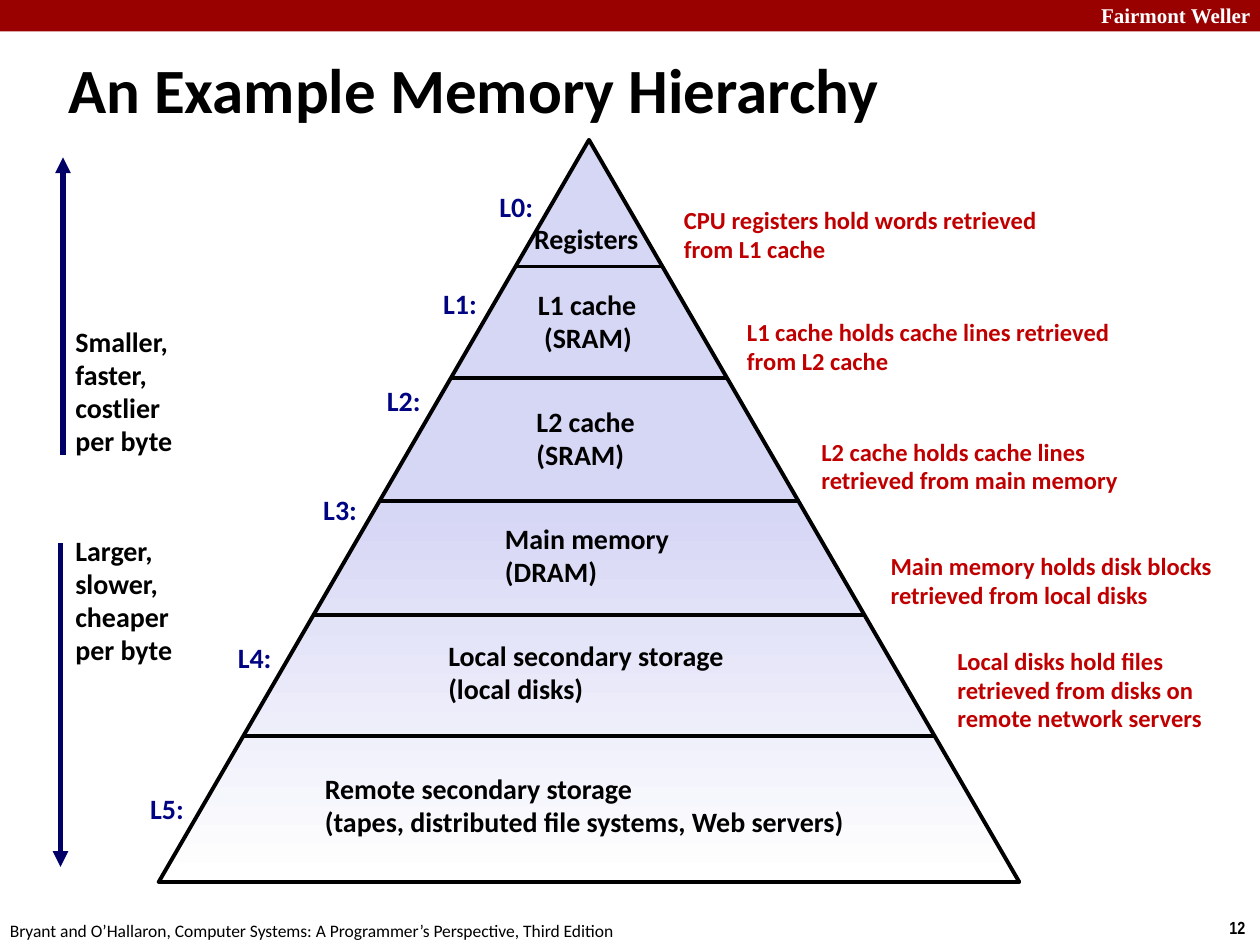
from copy import deepcopy

from lxml.etree import SubElement
from pptx import Presentation
from pptx.dml.color import RGBColor as RGB
from pptx.enum.shapes import MSO_CONNECTOR as LINK, MSO_SHAPE as FORM
from pptx.enum.text import MSO_ANCHOR as ANCHOR, PP_ALIGN as ALIGN
from pptx.oxml.ns import qn
from pptx.util import Inches, Pt

COLS, ROWS = 100, 75  # grid cells across and down the slide
WIDE, HIGH = Inches(10), Inches(7.5)

INK = {
    "bar": "990000", "white": "FFFFFF", "black": "000000", "tint": "D6D6F5",
    "label": "000482", "note": "C00000", "arrow": "000066",
}

# Each level: foot row, text, text column, text row, label row, note, note box
LEVELS = [
    (21.15, "Registers", 41.4, 19.05, 16.45,
     "CPU registers hold words retrieved from L1 cache", (53.3, 15.8, 31.9, 5.7)),
    (30, "L1 cache\n (SRAM)", 41.7, 25.55, 24.15,
     "L1 cache holds cache lines retrieved from L2 cache", (58.3, 24.7, 31, 5.7)),
    (39.75, "L2 cache\n(SRAM)", 41.6, 34.85, 31.85,
     "L2 cache holds cache lines retrieved from main memory", (64.2, 34.2, 28.8, 5.7)),
    (48.8, "Main memory\n(DRAM)", 39.1, 44.15, 40.55,
     "Main memory holds disk blocks retrieved from local disks", (69.7, 43.3, 30, 5.7)),
    (58.4, "Local secondary storage\n(local disks)", 34.6, 53.45, 52.25,
     "Local disks hold files retrieved from disks on remote network servers",
     (75, 50.8, 22.6, 8)),
    (70, "Remote secondary storage\n(tapes, distributed file systems, Web servers)",
     24.8, 63.95, 64.25, None, None),
]


def col(n):
    return round(WIDE * n / COLS)


def row(n):
    return round(HIGH * n / ROWS)


def place(box):
    left, top, wide, high = box
    return col(left), row(top), col(wide), row(high)


def style(frame, size, ink, font="Calibri", bold=True, space=None):
    for para in frame.paragraphs:
        para.alignment = ALIGN.LEFT
        para.line_spacing = space
        for run in para.runs:
            run.font.size, run.font.name, run.font.bold = Pt(size), font, bold
            run.font.color.rgb = RGB.from_string(INK[ink])


def write(slide, box, text, size=16, ink="black", wrap=False):
    """Add body text, centred vertically in its box."""
    frame = slide.shapes.add_textbox(*place(box)).text_frame
    frame.text = text
    frame.word_wrap = wrap
    frame.vertical_anchor = ANCHOR.MIDDLE
    style(frame, size, ink, space=0.98)


def rule(slide, start, end, ink, width, head=False):
    line = slide.shapes.add_connector(
        LINK.STRAIGHT, col(start[0]), row(start[1]), col(end[0]), row(end[1]))
    line.line.color.rgb = RGB.from_string(INK[ink])
    line.line.width = Pt(width)
    if head:
        SubElement(line.line._get_or_add_ln(), qn("a:tailEnd"), type="triangle")
    SubElement(line._element.spPr, qn("a:effectLst"))


def frame_page(slide, box):
    """Place the top bar and the footer texts."""
    left, top, wide, high = box
    bar = slide.shapes.add_shape(FORM.RECTANGLE, *place((left, top, wide, 2.5)))
    bar.shadow.inherit = False
    bar.fill.solid()
    bar.fill.fore_color.rgb = RGB.from_string(INK["bar"])
    bar.line.fill.background()
    foot = top + high
    book = ("Bryant and O’Hallaron, Computer Systems: "
            "A Programmer’s Perspective, Third Edition")
    for spot, text, size, ink, font, bold in [
        ((left + 86.4, top - 0.3, 14.3, 3), "Fairmont Weller", 12, "white",
         "Times New Roman", True),
        ((left + 96.6, foot - 2.7, 3.4, 2.7), "12", 10, "black", "Arial Narrow", True),
        ((left - 0.2, foot - 2.5, 50.8, 2.7), book, 10, "black", "Calibri", False),
    ]:
        frame = slide.shapes.add_textbox(*place(spot)).text_frame
        frame.text = text
        frame.word_wrap = False
        style(frame, size, ink, font, bold)


def head_page(slide, box):
    title = slide.shapes.title
    title.left, title.top, title.width, title.height = place(box)
    title.text_frame.text = "An Example Memory Hierarchy"
    title.text_frame.vertical_anchor = ANCHOR.MIDDLE
    style(title.text_frame, 36, "black")


def shade(shape):
    """Fill from tint to white, the upper half staying flat."""
    shape.fill.gradient()
    shape.fill.gradient_angle = 270
    stops = shape._element.spPr.find(qn("a:gradFill")).find(qn("a:gsLst"))
    stops.insert(1, deepcopy(stops[0]))
    for stop, (spot, ink) in zip(
            shape.fill.gradient_stops, [(0, "tint"), (0.49, "tint"), (1, "white")]):
        stop.position = spot
        stop.color.rgb = RGB.from_string(INK[ink])


def pyramid(slide, box):
    left, top, wide, high = box
    mid = left + wide / 2

    def half(y):
        return (y - top) / high * wide / 2

    body = slide.shapes.add_shape(FORM.ISOSCELES_TRIANGLE, *place(box))
    body.shadow.inherit = False
    shade(body)
    body.line.color.rgb = RGB.from_string(INK["black"])
    body.line.width = Pt(2.25)

    for i, (foot, text, x, y, tag, note, spot) in enumerate(LEVELS):
        if foot < top + high:
            reach = half(foot)
            rule(slide, (mid - reach, foot), (mid + reach, foot), "black", 2)
        tall = 6.3 if "\n" in text else 3.7
        write(slide, (x, y - tall / 2, 2 * (mid - x), tall), text)
        edge = mid - half(tag) - 0.3
        write(slide, (edge - 4.7, tag - 1.85, 4.7, 3.7), f"L{i}:", ink="label")
        if note:
            write(slide, spot, note, 14, "note", wrap=True)


def trend(slide, box, text, start, end):
    """Place a side text and its arrow; start and end are (column, row)."""
    write(slide, box, text)
    rule(slide, start, end, "arrow", 3, head=True)


def main():
    deck = Presentation()
    deck.slide_width, deck.slide_height = WIDE, HIGH
    slide = deck.slides.add_slide(deck.slide_layouts[5])
    frame_page(slide, (0, 0, COLS, ROWS))
    head_page(slide, (4.4, 2.7, 95.3, 8.6))
    pyramid(slide, (12.6, 11.1, 68.3, 58.9))
    trend(slide, (5, 25.3, 9.8, 11.6), "Smaller,\nfaster,\ncostlier\nper byte",
          (5, 36.1), (5, 12.5))
    trend(slide, (5, 41.9, 10, 11.6), "Larger,\nslower,\ncheaper\nper byte",
          (4.8, 43.1), (4.8, 68.8))
    deck.save("out.pptx")


if __name__ == "__main__":
    main()
